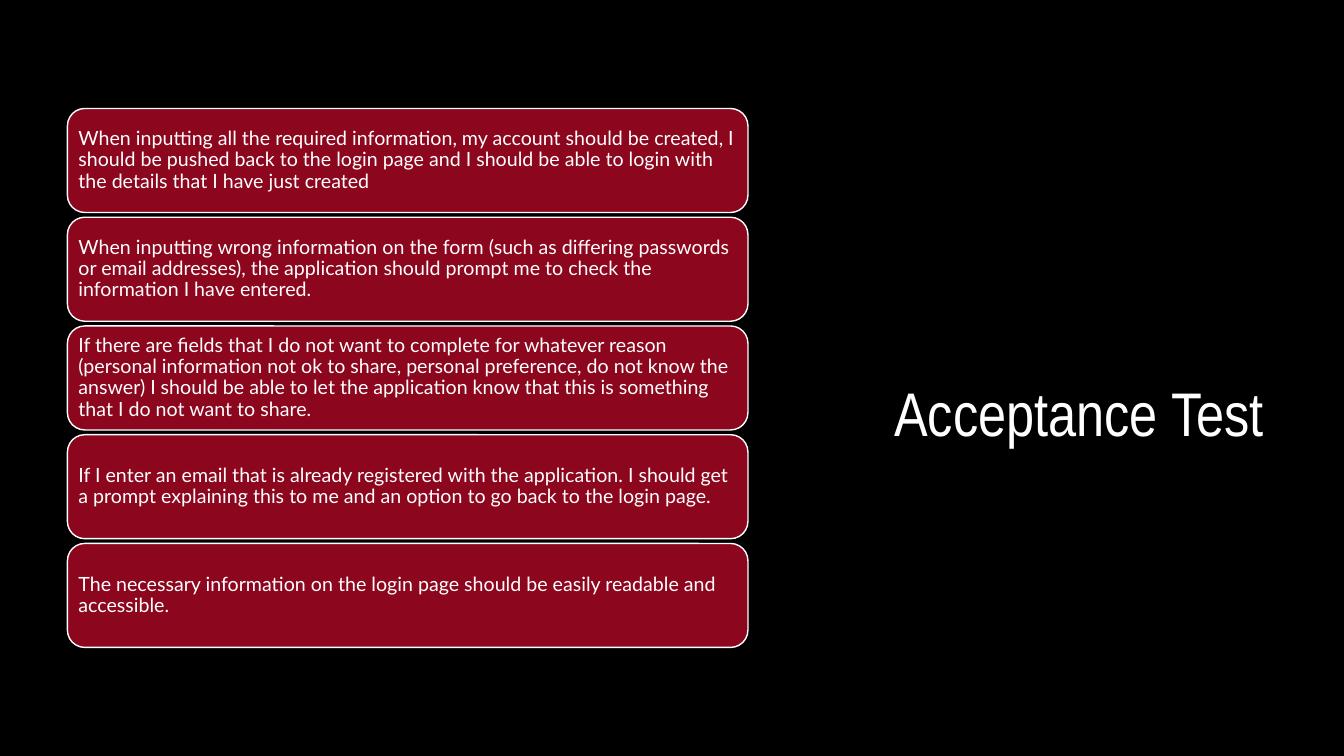
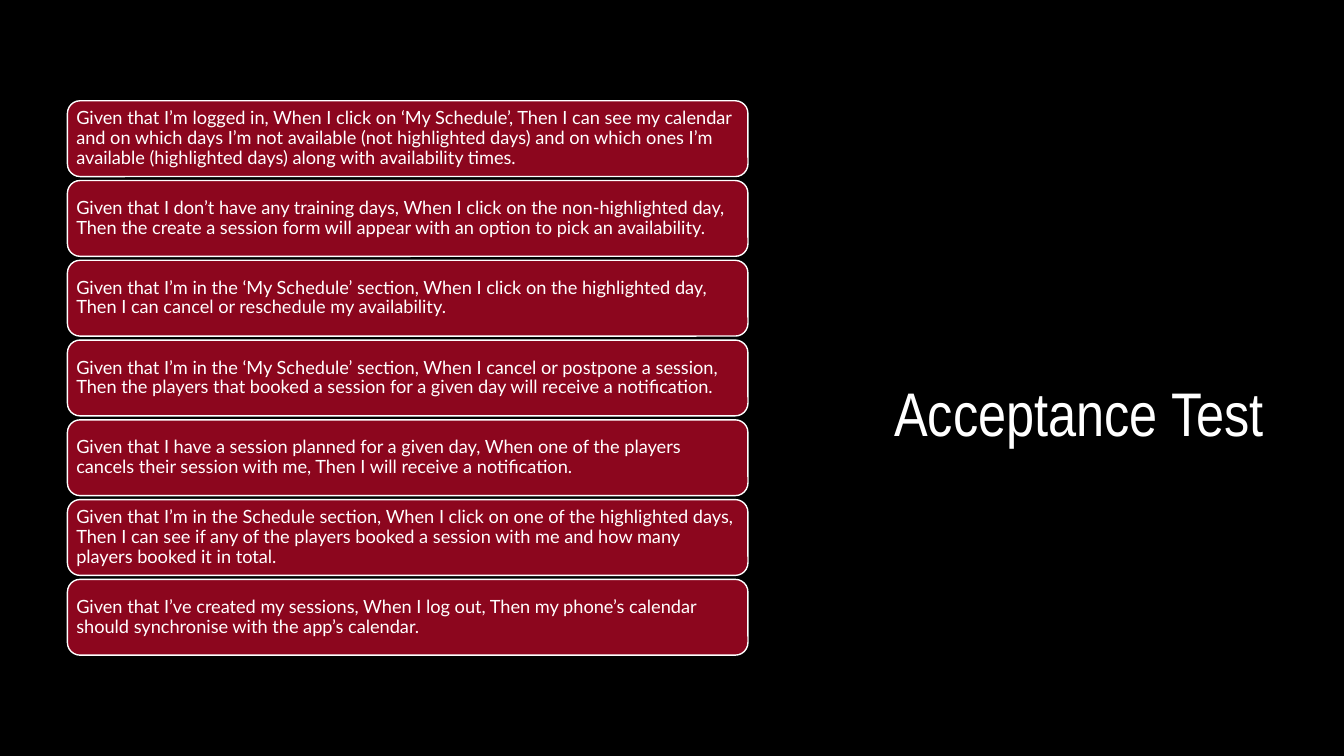
from pptx import Presentation
from pptx.dml.color import RGBColor
from pptx.enum import shapes, text
from pptx.util import Cm, Pt

TITLE = "Acceptance Test"
BLACK, WHITE, CRIMSON = "000000", "FFFFFF", "8C061E"
TITLE_FONT, BODY_FONT = "Arial Narrow", "Lato"
SLIDE_W, SLIDE_H = 33.87, 19.05
CARD_LEFT, CARD_W = 1.7, 17.15

SLIDES = [
    {
        "card_h": 2.62, "gap": 0.12, "size": 14, "inset": 0.15,
        "criteria": [
            "When inputting all the required information, my account should be created, I should be pushed back to the login page and I should be able to login with the details that I have just created",
            "When inputting wrong information on the form (such as differing passwords or email addresses), the application should prompt me to check the information I have entered.",
            "If there are fields that I do not want to complete for whatever reason (personal information not ok to share, personal preference, do not know the answer) I should be able to let the application know that this is something that I do not want to share.",
            "If I enter an email that is already registered with the application. I should get a prompt explaining this to me and an option to go back to the login page.",
            "The necessary information on the login page should be easily readable and accessible.",
        ],
    },
    {
        "card_h": 1.91, "gap": 0.1, "size": 13, "inset": 0.13,
        "criteria": [
            "Given that I’m logged in, When I click on ‘My Schedule’, Then I can see my calendar and on which days I’m not available (not highlighted days) and on which ones I’m available (highlighted days) along with availability times.",
            "Given that I don’t have any training days, When I click on the non-highlighted day, Then the create a session form will appear with an option to pick an availability.",
            "Given that I’m in the ‘My Schedule’ section, When I click on the highlighted day, Then I can cancel or reschedule my availability.",
            "Given that I’m in the ‘My Schedule’ section, When I cancel or postpone a session, Then the players that booked a session for a given day will receive a notification.",
            "Given that I have a session planned for a given day, When one of the players cancels their session with me, Then I will receive a notification.",
            "Given that I’m in the Schedule section, When I click on one of the highlighted days, Then I can see if any of the players booked a session with me and how many players booked it in total.",
            "Given that I’ve created my sessions, When I log out, Then my phone’s calendar should synchronise with the app’s calendar.",
        ],
    },
]


def rgb(value):
    return RGBColor.from_string(value)


def write(sp, words, font, size, align, anchor):
    tf = sp.text_frame
    tf.word_wrap = True
    tf.vertical_anchor = anchor
    p = tf.paragraphs[0]
    p.alignment = align
    p.line_spacing = 0.9
    r = p.add_run()
    r.text = words
    r.font.name = font
    r.font.size = Pt(size)
    r.font.color.rgb = rgb(WHITE)


def add_title(s):
    sp = s.shapes.add_textbox(Cm(22.12), Cm(5.54), Cm(10.16), Cm(5.92))
    write(sp, TITLE, TITLE_FONT, 44, text.PP_ALIGN.CENTER, text.MSO_ANCHOR.BOTTOM)


def add_card(s, top, height, words, size, inset):
    sp = s.shapes.add_shape(shapes.MSO_SHAPE.ROUNDED_RECTANGLE,
                            Cm(CARD_LEFT), Cm(top), Cm(CARD_W), Cm(height))
    sp.shadow.inherit = False
    sp.fill.solid()
    sp.fill.fore_color.rgb = rgb(CRIMSON)
    sp.line.color.rgb = rgb(WHITE)
    sp.line.width = Pt(1)
    tf = sp.text_frame
    tf.margin_left = tf.margin_right = tf.margin_top = tf.margin_bottom = Cm(inset)
    write(sp, words, BODY_FONT, size, text.PP_ALIGN.LEFT, text.MSO_ANCHOR.MIDDLE)


def add_cards(s, data):
    pitch = data["card_h"] + data["gap"]
    stack_h = len(data["criteria"]) * pitch - data["gap"]
    first_top = (SLIDE_H - stack_h) / 2
    for i, words in enumerate(data["criteria"]):
        add_card(s, first_top + i * pitch, data["card_h"], words,
                 data["size"], data["inset"])


def main():
    prs = Presentation()
    prs.slide_width, prs.slide_height = Cm(SLIDE_W), Cm(SLIDE_H)
    backdrop = prs.slide_master.background.fill
    backdrop.solid()
    backdrop.fore_color.rgb = rgb(BLACK)
    for data in SLIDES:
        s = prs.slides.add_slide(prs.slide_layouts[6])
        add_title(s)
        add_cards(s, data)
    prs.save("out.pptx")


if __name__ == "__main__":
    main()
